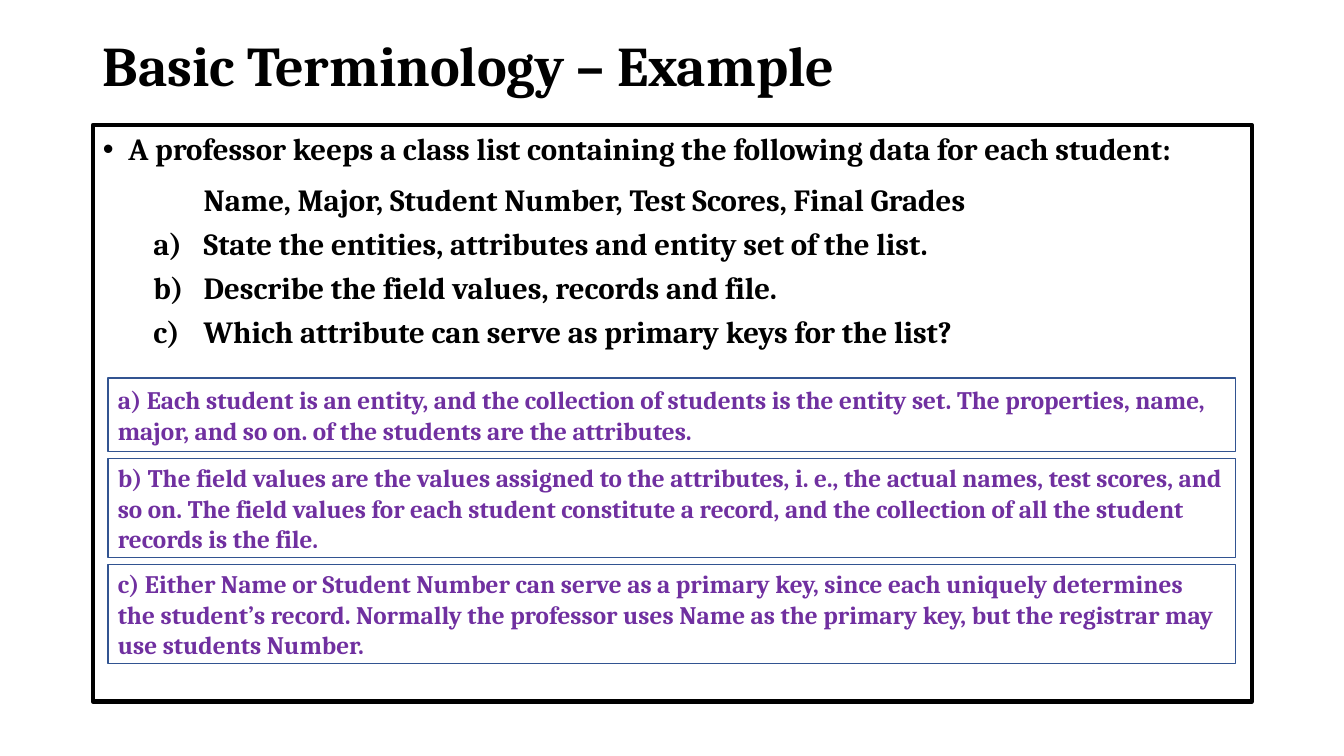
"""Build the slide "Basic Terminology – Example" with its question list and three answers."""
import pptx
import pptx.dml.color
import pptx.enum.shapes
import pptx.enum.text
import pptx.oxml.ns
import pptx.util
import lxml.etree
from dataclasses import dataclass

Cm, Pt = pptx.util.Cm, pptx.util.Pt
RGB = pptx.dml.color.RGBColor
ALIGN = pptx.enum.text.PP_ALIGN
ANCHOR = pptx.enum.text.MSO_ANCHOR
NO_FIT = pptx.enum.text.MSO_AUTO_SIZE.NONE


@dataclass(frozen=True)
class Theme:
    font: str = "Cambria"
    black: RGB = RGB(0x00, 0x00, 0x00)
    white: RGB = RGB(0xFF, 0xFF, 0xFF)
    purple: RGB = RGB(0x70, 0x30, 0xA0)
    blue: RGB = RGB(0x32, 0x54, 0x91)
    title: Pt = Pt(40)
    body: Pt = Pt(22)
    answer: Pt = Pt(18)


theme = Theme()


def add_run(p, text, size, color):
    r = p.add_run()
    r.text = text
    r.font.name = theme.font
    r.font.size = size
    r.font.bold = True
    r.font.color.rgb = color


def set_bullet(p, margin, indent, tag, **attrs):
    pPr = p._p.get_or_add_pPr()
    pPr.set("marL", str(int(margin)))
    pPr.set("indent", str(int(indent)))
    lxml.etree.SubElement(pPr, pptx.oxml.ns.qn(tag), attrs)


prs = pptx.Presentation()
prs.slide_width, prs.slide_height = Cm(33.87), Cm(19.05)
slide = prs.slides.add_slide(prs.slide_layouts[1])
left, width = Cm(2.34), Cm(29.21)

title = slide.shapes.title
title.left, title.top, title.width, title.height = left, Cm(0.84), width, Cm(1.78)
tf = title.text_frame
tf.auto_size = NO_FIT
tf.vertical_anchor = ANCHOR.MIDDLE
p = tf.paragraphs[0]
p.alignment = ALIGN.LEFT
p.line_spacing = 0.9
add_run(p, "Basic Terminology – Example", theme.title, theme.black)

body = slide.placeholders[1]
body.left, body.top, body.width, body.height = left, Cm(3.15), width, Cm(14.53)
body.line.color.rgb = theme.black
body.line.width = Pt(3)
tf = body.text_frame
tf.auto_size = NO_FIT
tf.vertical_anchor = ANCHOR.TOP

intro = tf.paragraphs[0]
fields = tf.add_paragraph()
for p, text in (
    (intro, "A professor keeps a class list containing the following data for each student:"),
    (fields, "Name, Major, Student Number, Test Scores, Final Grades"),
):
    p.alignment = ALIGN.JUSTIFY
    p.line_spacing = 1.0
    p.space_before = Pt(10)
    add_run(p, text, theme.body, theme.black)
set_bullet(intro, Cm(0.64), Cm(-0.64), "a:buChar", char="•")
set_bullet(fields, Cm(2.54), 0, "a:buNone")

questions = (
    "State the entities, attributes and entity set of the list.",
    "Describe the field values, records and file.",
    "Which attribute can serve as primary keys for the list?",
)
for text in questions:
    p = tf.add_paragraph()
    p.level = 1
    p.alignment = ALIGN.JUSTIFY
    p.line_spacing = 1.0
    p.space_before = Pt(5)
    set_bullet(p, Cm(2.54), Cm(-1.27), "a:buAutoNum", type="alphaLcParenR")
    add_run(p, text, theme.body, theme.black)

answers = (
    (1.85, "a) Each student is an entity, and the collection of students is the entity set. "
           "The properties, name, major, and so on. of the students are the attributes."),
    (2.49, "b) The field values are the values assigned to the attributes, i. e., the actual names, "
           "test scores, and so on. The field values for each student constitute a record, "
           "and the collection of all the student records is the file."),
    (2.49, "c) Either Name or Student Number can serve as a primary key, since each uniquely "
           "determines the student’s record. Normally the professor uses Name as the primary key, "
           "but the registrar may use students Number."),
)
top, gap = 9.53, 0.18
for height, text in answers:
    sp = slide.shapes.add_shape(pptx.enum.shapes.MSO_SHAPE.RECTANGLE,
                                Cm(2.72), Cm(top), Cm(28.42), Cm(height))
    sp.shadow.inherit = False
    sp.fill.solid()
    sp.fill.fore_color.rgb = theme.white
    sp.line.color.rgb = theme.blue
    sp.line.width = Pt(1)
    tf = sp.text_frame
    tf.word_wrap = True
    tf.vertical_anchor = ANCHOR.MIDDLE
    p = tf.paragraphs[0]
    p.alignment = ALIGN.LEFT
    add_run(p, text, theme.answer, theme.purple)
    top += height + gap

prs.save("out.pptx")
